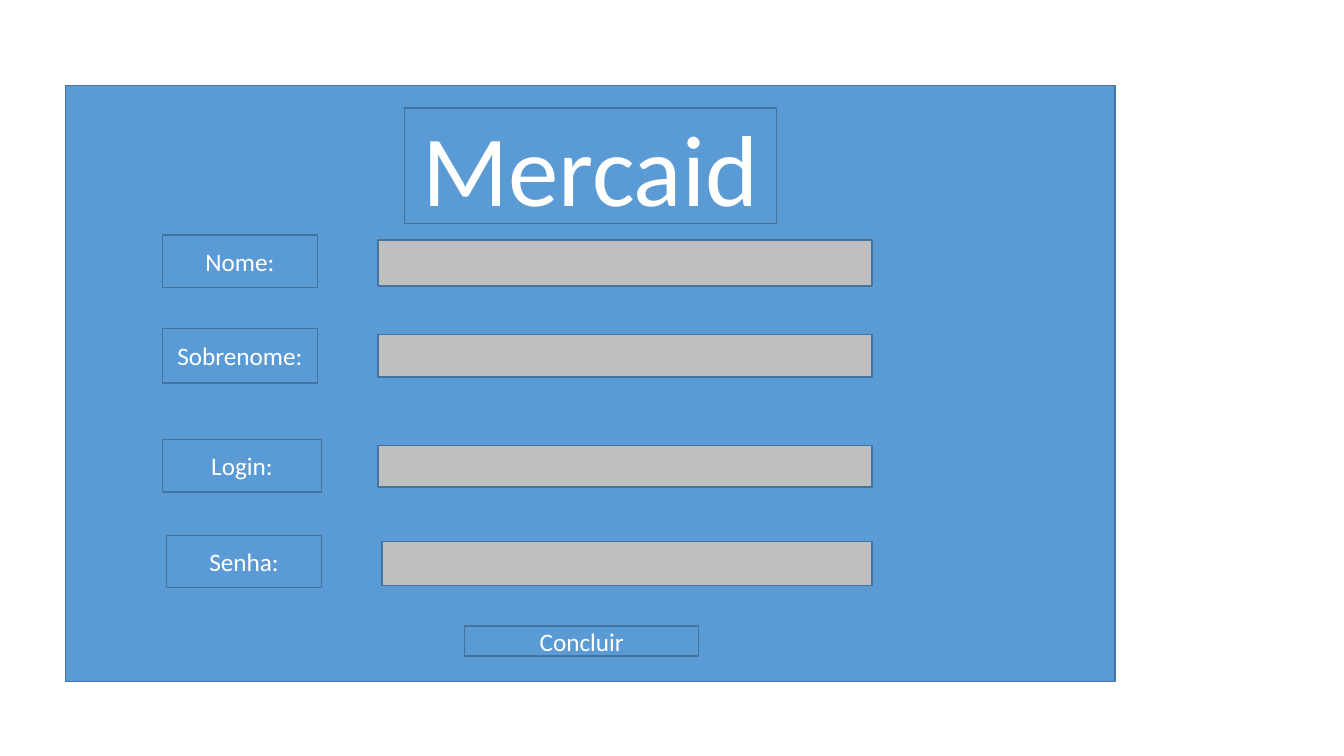
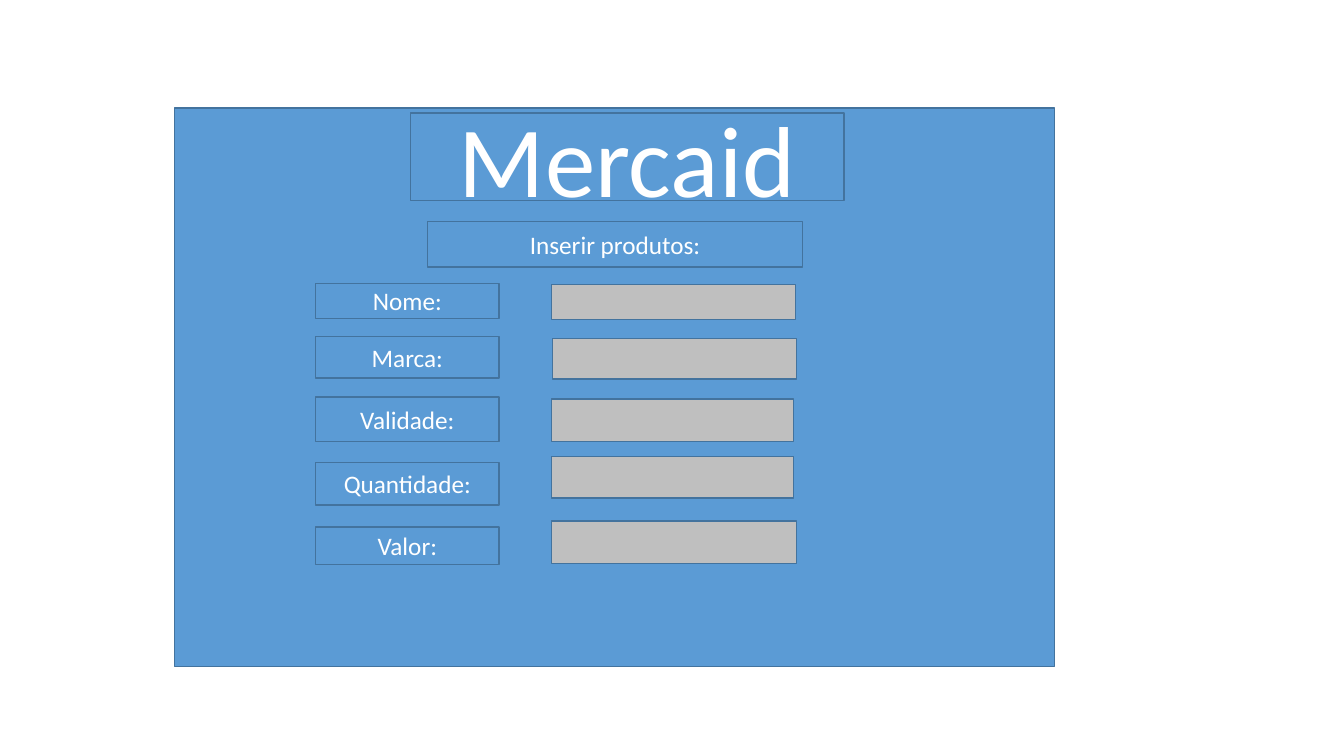
from pptx import Presentation
from pptx.dml.color import RGBColor
from pptx.enum.shapes import MSO_SHAPE
from pptx.enum.text import MSO_ANCHOR, MSO_AUTO_SIZE, PP_ALIGN
from pptx.util import Inches, Pt

RECT = MSO_SHAPE.RECTANGLE
MIDDLE = MSO_ANCHOR.MIDDLE
CENTER = PP_ALIGN.CENTER
NO_FIT = MSO_AUTO_SIZE.NONE
FONT = "Calibri"
COLORS = {"panel": "5B9BD5", "field": "BFBFBF", "line": "43739E", "text": "FFFFFF"}


def style_box(sp, fill, text="", size=18):
    sp.fill.solid()
    sp.fill.fore_color.rgb = RGBColor.from_string(COLORS[fill])
    sp.line.color.rgb = RGBColor.from_string(COLORS["line"])
    sp.line.width = Pt(1)
    if text:
        tf = sp.text_frame
        tf.text = text
        tf.word_wrap = True
        tf.auto_size = NO_FIT
        tf.vertical_anchor = MIDDLE
        p = tf.paragraphs[0]
        p.alignment = CENTER
        font = p.runs[0].font
        font.name = FONT
        font.size = Pt(size)
        font.color.rgb = RGBColor.from_string(COLORS["text"])


def add_box(slide, box, fill, text=""):
    sp = slide.shapes.add_shape(RECT, *[Inches(v) for v in box])
    sp.shadow.inherit = False
    style_box(sp, fill, text)


forms = [
    {
        "panel": (0.65, 0.85, 10.41, 5.91),
        "title": (4.01, 1.07, 3.69, 1.15),
        "caption": ("Concluir", (4.61, 6.21, 2.32, 0.3)),
        "rows": [
            ("Nome:", (1.61, 2.33, 1.54, 0.52), (3.75, 2.38, 4.9, 0.46)),
            ("Sobrenome:", (1.61, 3.26, 1.54, 0.54), (3.75, 3.32, 4.9, 0.42)),
            ("Login:", (1.61, 4.36, 1.58, 0.52), (3.75, 4.42, 4.9, 0.41)),
            ("Senha:", (1.65, 5.31, 1.54, 0.52), (3.79, 5.37, 4.86, 0.44)),
        ],
    },
    {
        "panel": (1.73, 1.07, 8.73, 5.54),
        "title": (4.07, 1.12, 4.3, 0.87),
        "caption": ("Inserir produtos:", (4.24, 2.2, 3.72, 0.45)),
        "rows": [
            ("Nome:", (3.13, 2.81, 1.82, 0.35), (5.47, 2.82, 2.42, 0.35)),
            ("Marca:", (3.13, 3.34, 1.82, 0.41), (5.48, 3.36, 2.42, 0.4)),
            ("Validade:", (3.13, 3.94, 1.82, 0.44), (5.47, 3.96, 2.4, 0.42)),
            ("Quantidade:", (3.13, 4.59, 1.82, 0.42), (5.47, 4.53, 2.4, 0.41)),
            ("Valor:", (3.13, 5.23, 1.82, 0.37), (5.47, 5.17, 2.43, 0.42)),
        ],
    },
]

prs = Presentation()
prs.slide_width = Inches(13.33)
prs.slide_height = Inches(7.5)
title_only = prs.slide_layouts[5]

for form in forms:
    slide = prs.slides.add_slide(title_only)
    add_box(slide, form["panel"], "panel")

    title = slide.shapes.title
    title.left, title.top, title.width, title.height = [Inches(v) for v in form["title"]]
    style_box(title, "panel", "Mercaid", 72)
    slide.shapes._spTree.append(title._element)

    caption, caption_box = form["caption"]
    add_box(slide, caption_box, "panel", caption)

    for label, label_box, field_box in form["rows"]:
        add_box(slide, label_box, "panel", label)
        add_box(slide, field_box, "field")

prs.save("out.pptx")
